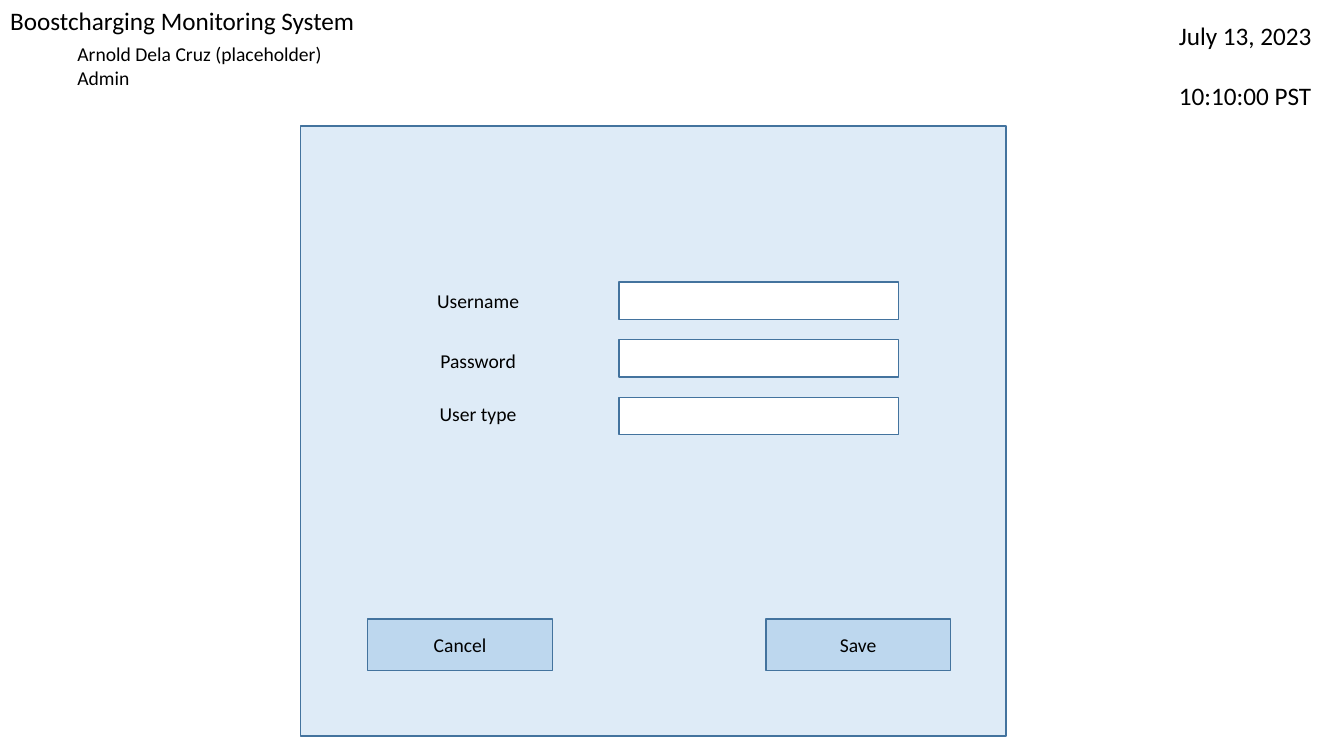
from dataclasses import dataclass

from pptx import Presentation
from pptx.dml.color import RGBColor
from pptx.enum.shapes import MSO_SHAPE
from pptx.enum.text import MSO_ANCHOR, MSO_AUTO_SIZE, PP_ALIGN
from pptx.shapes.autoshape import Shape
from pptx.slide import Slide
from pptx.util import Cm, Pt

RECT = MSO_SHAPE.RECTANGLE
TOP, MIDDLE = MSO_ANCHOR.TOP, MSO_ANCHOR.MIDDLE
LEFT, CENTER = PP_ALIGN.LEFT, PP_ALIGN.CENTER
NO_FIT = MSO_AUTO_SIZE.NONE
TITLE_ONLY = 5


@dataclass(frozen=True)
class Theme:
    font: str = "Calibri"
    ink: RGBColor = RGBColor(0x00, 0x00, 0x00)
    edge: RGBColor = RGBColor(0x43, 0x73, 0x9E)
    panel: RGBColor = RGBColor(0xDE, 0xEB, 0xF7)
    button: RGBColor = RGBColor(0xBD, 0xD7, 0xEE)
    field: RGBColor = RGBColor(0xFF, 0xFF, 0xFF)
    large: Pt = Pt(18)
    small: Pt = Pt(14)
    rule: Pt = Pt(1)


@dataclass(frozen=True)
class Area:
    """A place on the slide, in centimetres."""
    left: float
    top: float
    width: float
    height: float

    def cm(self) -> list[Cm]:
        return [Cm(n) for n in (self.left, self.top, self.width, self.height)]


@dataclass(frozen=True)
class Label:
    lines: tuple[str, ...]
    area: Area
    size: Pt
    align: PP_ALIGN = LEFT
    gap: Pt = Pt(0)


@dataclass(frozen=True)
class Box:
    area: Area
    fill: RGBColor
    text: str = ""


THEME = Theme()
PAGE = Area(0, 0, 33.87, 19.05)
TITLE = Label(("Boostcharging Monitoring System",), Area(0, 0, 25.32, 1.02), THEME.large)
FIELD_TOP, FIELD_STEP = 7.11, 1.45

LABELS = [
    Label(("July 13, 2023", "10:10:00 PST"), Area(29.46, 0.38, 4.29, 1.8),
          THEME.large, gap=Pt(21.5)),
    Label(("Arnold Dela Cruz (placeholder)", "Admin"), Area(1.7, 0.94, 6.81, 1.45),
          THEME.small),
] + [
    Label((name,), Area(9.04, top, 6.02, 0.86), THEME.small, CENTER)
    for name, top in (("Username", 7.16), ("Password", 8.66), ("User type", 10.01))
]

BOXES = [
    Box(Area(7.57, 3.18, 17.78, 15.37), THEME.panel),
] + [
    Box(Area(15.6, FIELD_TOP + row * FIELD_STEP, 7.04, 0.94), THEME.field)
    for row in range(3)
] + [
    Box(Area(left, 15.6, 4.65, 1.3), THEME.button, name)
    for name, left in (("Cancel", 9.27), ("Save", 19.3))
]


def apply(target: object, values: dict[str, object]) -> None:
    for name, value in values.items():
        setattr(target, name, value)


def write(shape: Shape, label: Label, anchor: MSO_ANCHOR = TOP) -> None:
    frame = shape.text_frame
    apply(frame, {"word_wrap": True, "auto_size": NO_FIT, "vertical_anchor": anchor})
    frame.text = "\n".join(label.lines)
    for row, para in enumerate(frame.paragraphs):
        apply(para, {"alignment": label.align,
                     "space_before": label.gap if row else Pt(0)})
        apply(para.font, {"name": THEME.font, "size": label.size})
        para.font.color.rgb = THEME.ink


def add_title(slide: Slide, label: Label) -> None:
    title = slide.shapes.title
    apply(title, dict(zip(("left", "top", "width", "height"), label.area.cm())))
    write(title, label)


def add_box(slide: Slide, box: Box) -> None:
    shape = slide.shapes.add_shape(RECT, *box.area.cm())
    shape.shadow.inherit = False
    shape.fill.solid()
    shape.fill.fore_color.rgb = box.fill
    shape.line.color.rgb = THEME.edge
    shape.line.width = THEME.rule
    if box.text:
        write(shape, Label((box.text,), box.area, THEME.small, CENTER), MIDDLE)


def add_label(slide: Slide, label: Label) -> None:
    write(slide.shapes.add_textbox(*label.area.cm()), label)


def main() -> None:
    deck = Presentation()
    apply(deck, {"slide_width": Cm(PAGE.width), "slide_height": Cm(PAGE.height)})
    slide = deck.slides.add_slide(deck.slide_layouts[TITLE_ONLY])
    add_title(slide, TITLE)
    for box in BOXES:
        add_box(slide, box)
    for label in LABELS:
        add_label(slide, label)
    deck.save("out.pptx")


if __name__ == "__main__":
    main()
